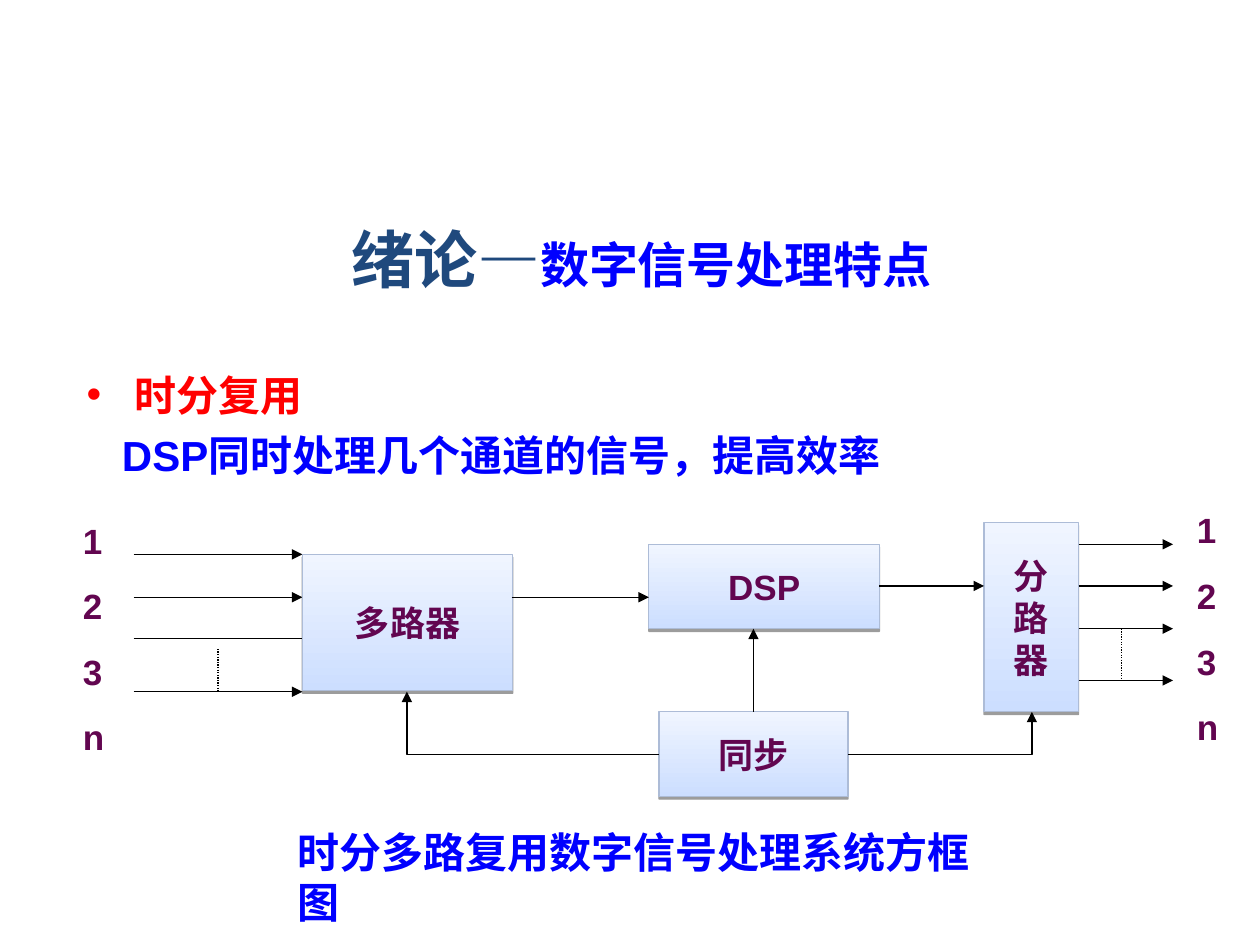
"""Build the slide on time-division multiplexing in digital signal processing."""
import dataclasses

import pptx
import pptx.dml.color
import pptx.enum.dml
import pptx.enum.shapes
import pptx.enum.text
import pptx.oxml.ns
import pptx.util
from lxml import etree

Inches = pptx.util.Inches
Pt = pptx.util.Pt
qn = pptx.oxml.ns.qn
ALIGN = pptx.enum.text.PP_ALIGN
FIT = pptx.enum.text.MSO_AUTO_SIZE
MIDDLE = pptx.enum.text.MSO_ANCHOR.MIDDLE


@dataclasses.dataclass(frozen=True)
class Theme:
    latin: str = "Arial"
    han: str = "Noto Sans CJK SC"
    navy: str = "1F497D"
    blue: str = "0000FF"
    red: str = "FF0000"
    plum: str = "620650"
    black: str = "000000"
    edge: str = "ADBCD7"
    low: str = "CCDEFF"
    high: str = "F0F5FF"
    title: int = 36
    topic: int = 28
    body: int = 24
    label: int = 20
    rule: float = 0.75


THEME = Theme()


def paint(text):
    return pptx.dml.color.RGBColor.from_string(text)


def add_run(para, text, size, color, face=THEME.latin):
    run = para.add_run()
    run.text = text
    font = run.font
    font.size, font.bold, font.name = Pt(size), True, face
    font.color.rgb = paint(color)
    if face == THEME.han:
        props = run._r.get_or_add_rPr()
        etree.SubElement(props, qn("a:ea"), typeface=face)


def add_lines(frame, lines, size, color, align=ALIGN.LEFT, gap=0):
    for index, line in enumerate(lines):
        para = frame.add_paragraph() if index else frame.paragraphs[0]
        para.alignment = align
        if index:
            para.space_before = Pt(gap)
        add_run(para, line, size, color)


def add_text(slide, left, top, width, height, wrap=True, fit=FIT.NONE):
    box = slide.shapes.add_textbox(Inches(left), Inches(top), Inches(width), Inches(height))
    frame = box.text_frame
    frame.word_wrap, frame.auto_size = wrap, fit
    return frame


def add_title(slide):
    frame = add_text(slide, 0.59, 1.46, 9, 1.18)
    frame.vertical_anchor = MIDDLE
    para = frame.paragraphs[0]
    para.alignment = ALIGN.CENTER
    add_run(para, "绪论—", THEME.title, THEME.navy, THEME.han)
    add_run(para, "数字信号处理特点", THEME.topic, THEME.blue, THEME.han)


def add_body(slide):
    frame = add_text(slide, 0.59, 2.88, 9, 1.1)
    head = frame.paragraphs[0]
    props = head._p.get_or_add_pPr()
    props.set("marL", str(Inches(0.38)))
    props.set("indent", str(-Inches(0.38)))
    tint = etree.SubElement(props, qn("a:buClr"))
    etree.SubElement(tint, qn("a:srgbClr"), val=THEME.red)
    etree.SubElement(props, qn("a:buFont"), typeface=THEME.latin)
    etree.SubElement(props, qn("a:buChar"), char="•")
    add_run(head, "时分复用", THEME.body, THEME.red)
    note = frame.add_paragraph()
    note.space_before = Pt(6)
    note._p.get_or_add_pPr().set("marL", str(Inches(0.28)))
    add_run(note, "DSP同时处理几个通道的信号，提高效率", THEME.body, THEME.blue)


def add_block(slide, left, top, width, height, *lines):
    block = slide.shapes.add_shape(
        pptx.enum.shapes.MSO_SHAPE.RECTANGLE,
        Inches(left), Inches(top), Inches(width), Inches(height))
    block.fill.gradient()
    block.fill.gradient_angle = 90
    for stop, color, place in zip(block.fill.gradient_stops, (THEME.low, THEME.high), (0, 1)):
        stop.color.rgb = paint(color)
        stop.position = place
    block.line.color.rgb = paint(THEME.edge)
    block.line.width = Pt(THEME.rule)
    block.shadow.inherit = False
    glow = block.element.spPr.find(qn("a:effectLst"))
    cast = etree.SubElement(glow, qn("a:outerShdw"), blurRad="0", dist=str(Pt(1.6)),
                            dir="5400000", rotWithShape="0")
    tint = etree.SubElement(cast, qn("a:srgbClr"), val=THEME.black)
    etree.SubElement(tint, qn("a:alpha"), val="38000")
    frame = block.text_frame
    frame.word_wrap, frame.vertical_anchor = False, MIDDLE
    add_lines(frame, lines, THEME.label, THEME.plum, ALIGN.CENTER)


def add_link(slide, start, end, bent=False, arrow=True):
    kinds = pptx.enum.shapes.MSO_CONNECTOR
    link = slide.shapes.add_connector(
        kinds.ELBOW if bent else kinds.STRAIGHT, *map(Inches, start + end))
    link.line.color.rgb = paint(THEME.black)
    link.line.width = Pt(THEME.rule)
    props = link.element.spPr
    if bent:
        props.find(qn("a:prstGeom")).set("prst", "bentConnector2")
    if arrow:
        etree.SubElement(props.find(qn("a:ln")), qn("a:tailEnd"), type="triangle")
    else:
        link.line.dash_style = pptx.enum.dml.MSO_LINE.ROUND_DOT
    etree.SubElement(props, qn("a:effectLst"))


def add_ports(slide, left, top):
    frame = add_text(slide, left, top, 0.42, 1.96, fit=FIT.SHAPE_TO_FIT_TEXT)
    add_lines(frame, "123n", THEME.label, THEME.plum, gap=13.5)


def add_chart(slide):
    for y, end in ((4.4, 2.4), (4.74, 2.4), (5.07, 2.48), (5.49, 2.4)):
        add_link(slide, (1.06, y), (end, y))
    add_block(slide, 2.4, 4.4, 1.67, 1.08, "多路器")
    add_block(slide, 5.15, 4.32, 1.83, 0.67, "DSP")
    add_block(slide, 7.81, 4.15, 0.75, 1.5, *"分路器")
    add_block(slide, 5.23, 5.65, 1.5, 0.67, "同步")
    for y in (4.32, 4.65, 4.99, 5.4):
        add_link(slide, (8.56, y), (9.31, y))
    add_link(slide, (5.98, 5.65), (5.98, 4.99))
    add_link(slide, (6.73, 5.99), (8.19, 5.65), bent=True)
    add_link(slide, (5.23, 5.99), (3.23, 5.49), bent=True)
    add_link(slide, (4.06, 4.74), (5.15, 4.74))
    add_link(slide, (6.98, 4.65), (7.81, 4.65))
    add_link(slide, (1.73, 5.15), (1.73, 5.49), arrow=False)
    add_link(slide, (8.9, 4.99), (8.9, 5.4), arrow=False)
    add_ports(slide, 0.56, 4.07)
    add_ports(slide, 9.4, 3.99)


def main():
    deck = pptx.Presentation()
    deck.slide_width, deck.slide_height = Inches(10), Inches(7.5)
    slide = deck.slides.add_slide(deck.slide_layouts[6])
    add_title(slide)
    add_body(slide)
    add_chart(slide)
    frame = add_text(slide, 2.26, 6.51, 5.86, 0.5, wrap=False, fit=FIT.SHAPE_TO_FIT_TEXT)
    add_lines(frame, ["时分多路复用数字信号处理系统方框图"], THEME.body, THEME.blue)
    deck.save("out.pptx")


if __name__ == "__main__":
    main()
